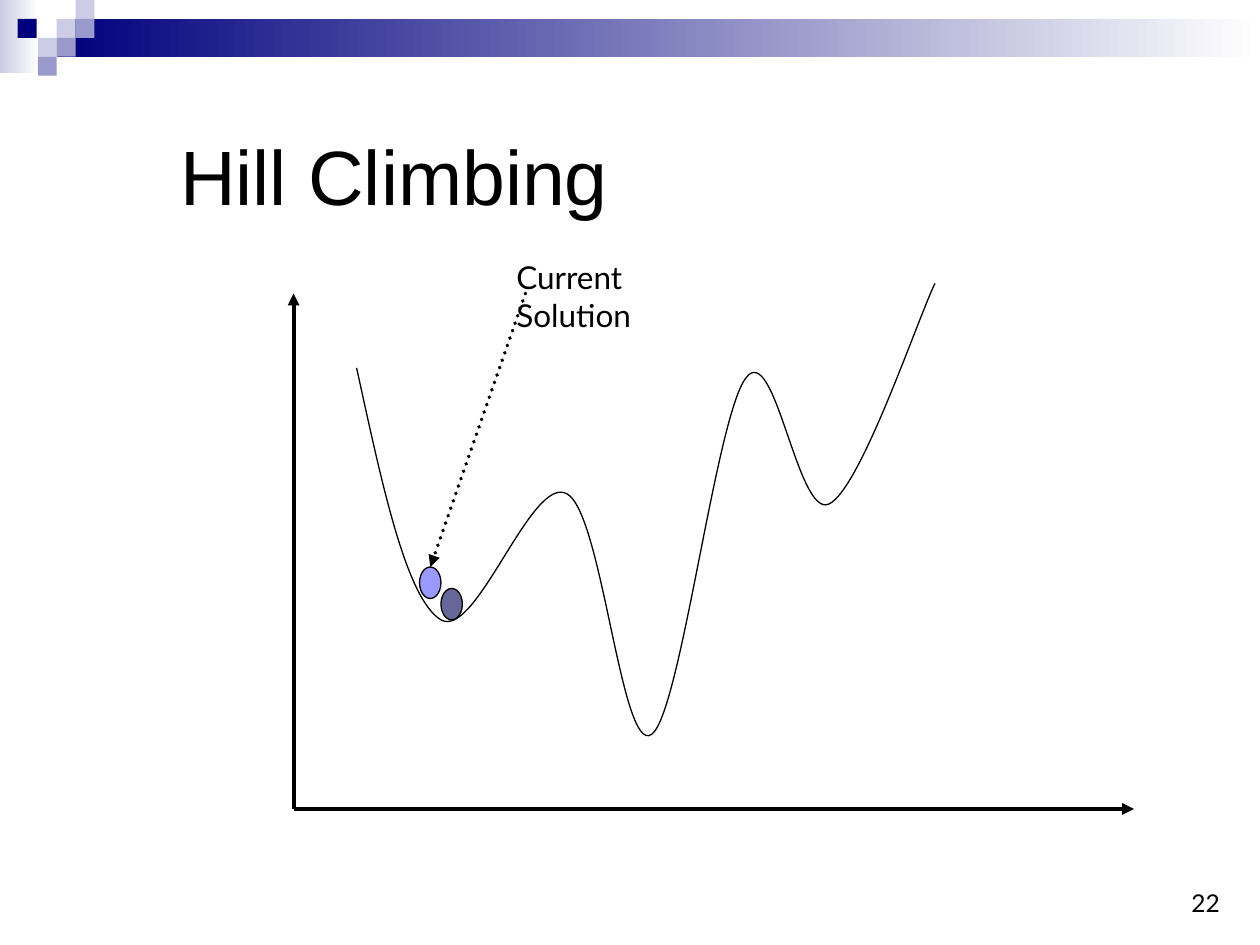
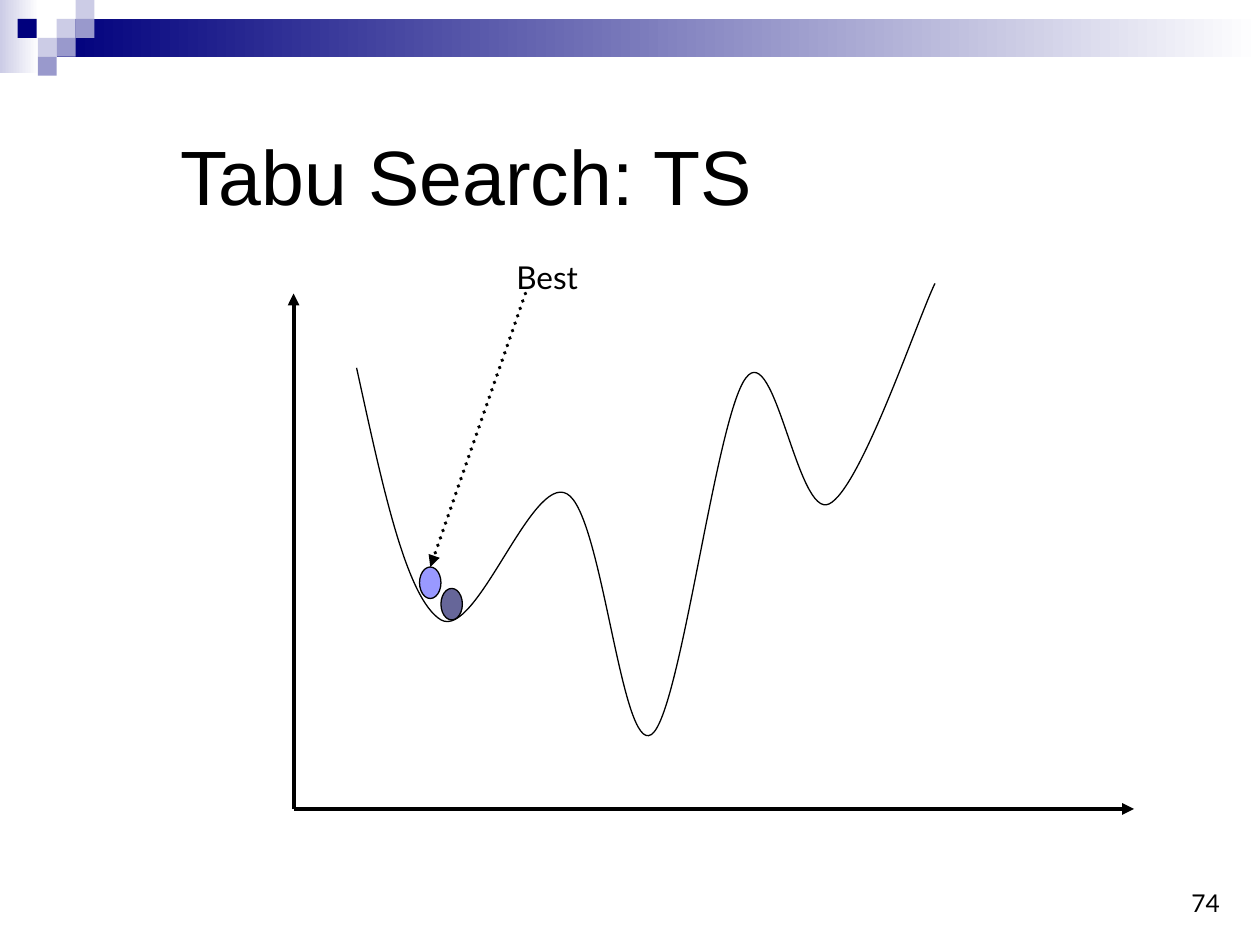
from dataclasses import dataclass
from itertools import chain

from lxml.etree import SubElement
from pptx import Presentation
from pptx.dml.color import RGBColor
from pptx.enum.dml import MSO_LINE
from pptx.enum.shapes import MSO_CONNECTOR, MSO_SHAPE
from pptx.enum.text import MSO_ANCHOR, PP_ALIGN
from pptx.oxml.ns import qn
from pptx.util import Inches, Pt


@dataclass(frozen=True)
class Theme:
    """Colours, fonts and type sizes shared by the slides."""
    navy: RGBColor = RGBColor(0x00, 0x00, 0x7D)
    lilac: RGBColor = RGBColor(0x99, 0x99, 0xCC)
    pale: RGBColor = RGBColor(0xCC, 0xCC, 0xE6)
    white: RGBColor = RGBColor(0xFF, 0xFF, 0xFF)
    ink: RGBColor = RGBColor(0x00, 0x00, 0x00)
    start_ball: RGBColor = RGBColor(0x99, 0x99, 0xFF)
    valley_ball: RGBColor = RGBColor(0x66, 0x66, 0x99)
    title_font: str = "Arial"
    body_font: str = "Lato"
    title_size: int = 44
    label_size: int = 18
    number_size: int = 14
    thin: float = 0.75
    thick: float = 2.25


THEME = Theme()
TILE = 0.15
TILES = [
    (0.45, 0.15, THEME.pale), (0.6, 0, THEME.pale), (0.6, 0.15, THEME.lilac),
    (0.3, 0.3, THEME.pale), (0.14, 0.15, THEME.navy),
    (0.45, 0.3, THEME.lilac), (0.3, 0.45, THEME.lilac),
]
LAYOUT_ID_OFFSET = 100
PLOT_BOX = (2.33, 2.33, 6.67, 4.09)
COST_START = (0.5, 0.59)
COST_CURVES = [
    ((0.7, 1.5), (0.89, 2.42), (1.17, 2.59)),
    ((1.45, 2.75), (1.89, 1.43), (2.17, 1.59)),
    ((2.45, 1.74), (2.6, 3.66), (2.84, 3.5)),
    ((3.07, 3.35), (3.35, 0.98), (3.59, 0.67)),
    ((3.82, 0.36), (4, 1.79), (4.25, 1.67)),
    ((4.5, 1.55), (4.95, 0.21), (5.09, -0.08)),
]
SLIDES = [("Hill Climbing", "Current Solution", 0.7, "22"),
          ("Tabu Search: TS", "Best", 0.4, "74")]


def add_block(page, kind, box, color):
    """Add a flat preset shape without outline to a page or group."""
    block = page.shapes.add_shape(kind, *map(Inches, box))
    block.shadow.inherit = False
    block.fill.solid()
    block.fill.fore_color.rgb = color
    block.line.fill.background()
    return block


def add_fade(page, box, color):
    """Add a rectangle that fades from a colour to white."""
    band = add_block(page, MSO_SHAPE.RECTANGLE, box, color)
    band.fill.gradient()
    band.fill.gradient_angle = 0
    for stop, position, shade in zip(band.fill.gradient_stops, (0, 1), (color, THEME.white)):
        stop.position = position
        stop.color.rgb = shade


def outline(shape, width):
    """Give a shape or connector a black line."""
    shape.line.color.rgb = THEME.ink
    shape.line.width = Pt(width)


def style_text(frame, font, size, align, anchor):
    """Format all the text of a frame."""
    frame.word_wrap = True
    frame.vertical_anchor = anchor
    for para in frame.paragraphs:
        para.alignment = align
        for span in para.runs:
            span.font.name = font
            span.font.size = Pt(size)
            span.font.color.rgb = THEME.ink


def add_label(page, box, text, size, align=PP_ALIGN.LEFT, anchor=MSO_ANCHOR.TOP):
    """Add a text box in the body font."""
    label = page.shapes.add_textbox(*map(Inches, box))
    label.text_frame.text = text
    style_text(label.text_frame, THEME.body_font, size, align, anchor)


def add_arrow(page, start, end):
    """Add a thick straight arrow."""
    arrow = page.shapes.add_connector(MSO_CONNECTOR.STRAIGHT, *map(Inches, (*start, *end)))
    outline(arrow, THEME.thick)
    SubElement(arrow.line._get_or_add_ln(), qn("a:tailEnd"), type="triangle")
    SubElement(arrow.element.spPr, qn("a:effectLst"))
    return arrow


def add_ball(page, left, top, color):
    """Add an outlined ball that marks a solution."""
    ball = add_block(page, MSO_SHAPE.OVAL, (left, top, 0.17, 0.25), color)
    outline(ball, THEME.thin)
    return ball


def bend_segments(shape):
    """Turn every three line segments of a freeform into one cubic curve."""
    outline_element = next(shape.element.iter(qn("a:path")))
    segments = outline_element.findall(qn("a:lnTo"))
    for first in range(0, len(segments), 3):
        curve = SubElement(outline_element, qn("a:cubicBezTo"))
        for segment in segments[first:first + 3]:
            curve.append(segment[0])
            outline_element.remove(segment)


def add_cost_curve(page, left, top):
    """Draw the cost curve of the search space."""
    def place(point):
        return Inches(left + point[0]), Inches(top + point[1])

    builder = page.shapes.build_freeform(*place(COST_START))
    builder.add_line_segments(map(place, chain.from_iterable(COST_CURVES)), close=False)
    curve = builder.convert_to_shape()
    bend_segments(curve)
    curve.shadow.inherit = False
    curve.fill.background()
    outline(curve, THEME.thin)


def add_plot(page, box, caption, caption_height):
    """Draw the axes, cost curve, balls and the caption with its pointer."""
    left, top, width, height = box
    origin = (left, top + height)
    add_arrow(page, origin, (left, top))
    add_arrow(page, origin, (left + width, top + height))
    add_cost_curve(page, left, top)
    add_ball(page, left + 1.17, top + 2.34, THEME.valley_ball)
    pointer = add_arrow(page, (left + 1.84, top), (left + 1.09, top + 2.17))
    pointer.line.dash_style = MSO_LINE.ROUND_DOT
    pointer.line._get_or_add_ln().set("cap", "rnd")
    start_ball = add_ball(page, left + 1, top + 2.17, THEME.start_ball)
    pointer.end_connect(start_ball, 0)
    add_label(page, (left + 1.67, top - 0.33, 1.17, caption_height), caption, THEME.label_size)


def add_header(page):
    """Draw the fading bands and tiles as a group on the layout of a page."""
    header = page.shapes.add_group_shape()
    add_fade(header, (0, 0, 0.31, 0.58), THEME.pale)
    add_fade(header, (0.45, 0.15, 9.55, 0.3), THEME.navy)
    for left, top, color in TILES:
        add_block(header, MSO_SHAPE.RECTANGLE, (left, top, TILE, TILE), color)
    for properties in header.element.iter(qn("p:cNvPr")):
        properties.set("id", str(int(properties.get("id")) + LAYOUT_ID_OFFSET))
    page.slide_layout.shapes.element.insert(2, header.element)


def set_title(page, text):
    """Place and format the title placeholder."""
    title = page.shapes.title
    title.left, title.top, title.width, title.height = map(Inches, (1.33, 0.94, 8.52, 0.9))
    title.text_frame.text = text
    style_text(title.text_frame, THEME.title_font, THEME.title_size,
               PP_ALIGN.LEFT, MSO_ANCHOR.MIDDLE)


def add_search_slide(deck, title, caption, caption_height, number):
    """Add a slide that shows one search method on the cost curve."""
    page = deck.slides.add_slide(deck.slide_layouts.get_by_name("Title Only"))
    add_label(page, (7.7, 6.83, 2.08, 0.5), number, THEME.number_size,
              PP_ALIGN.RIGHT, MSO_ANCHOR.BOTTOM)
    set_title(page, title)
    add_plot(page, PLOT_BOX, caption, caption_height)
    return page


def main():
    """Build the deck and save it."""
    deck = Presentation()
    deck.slide_width, deck.slide_height = Inches(10), Inches(7.5)
    pages = [add_search_slide(deck, *content) for content in SLIDES]
    add_header(pages[0])
    deck.save("out.pptx")


if __name__ == "__main__":
    main()
